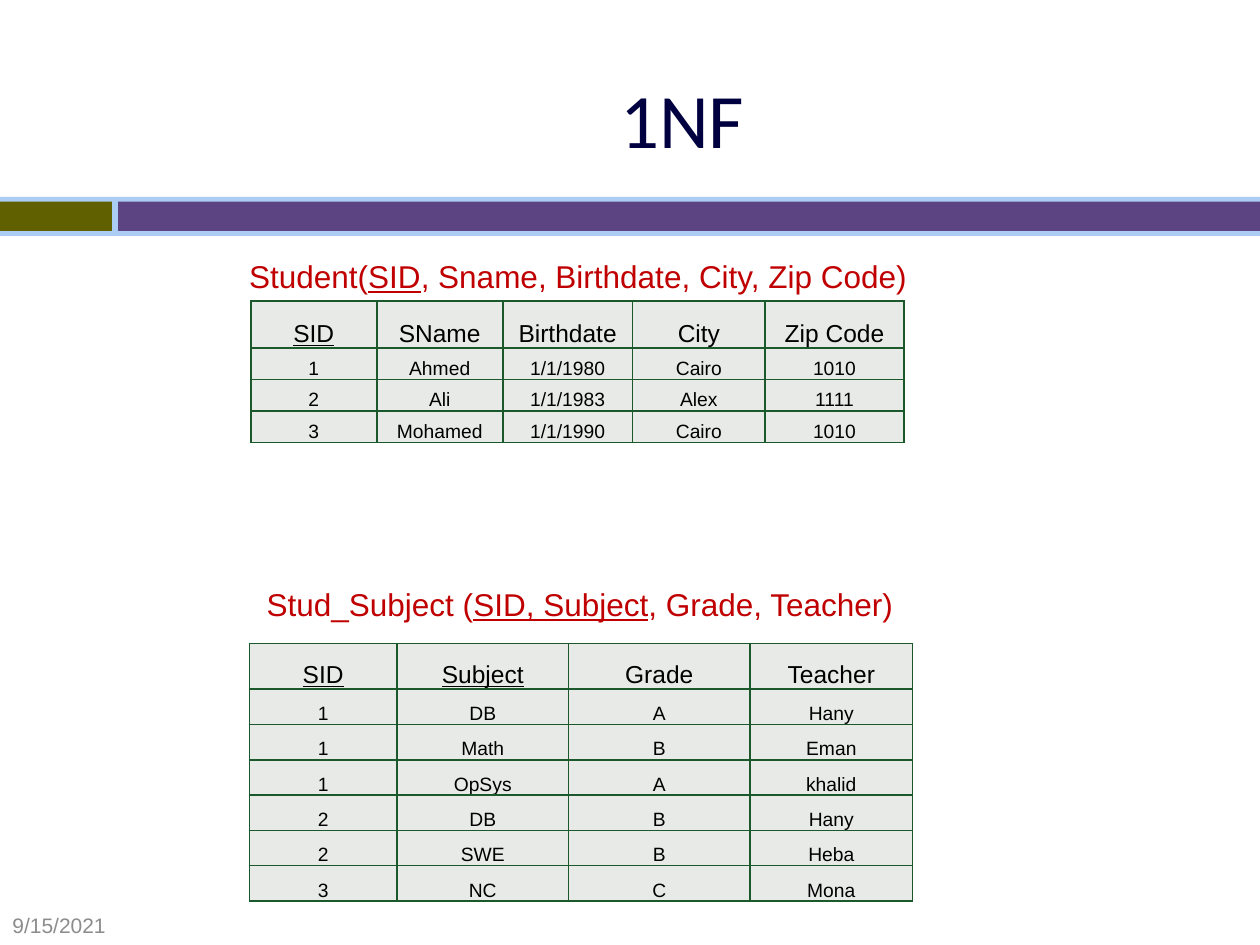
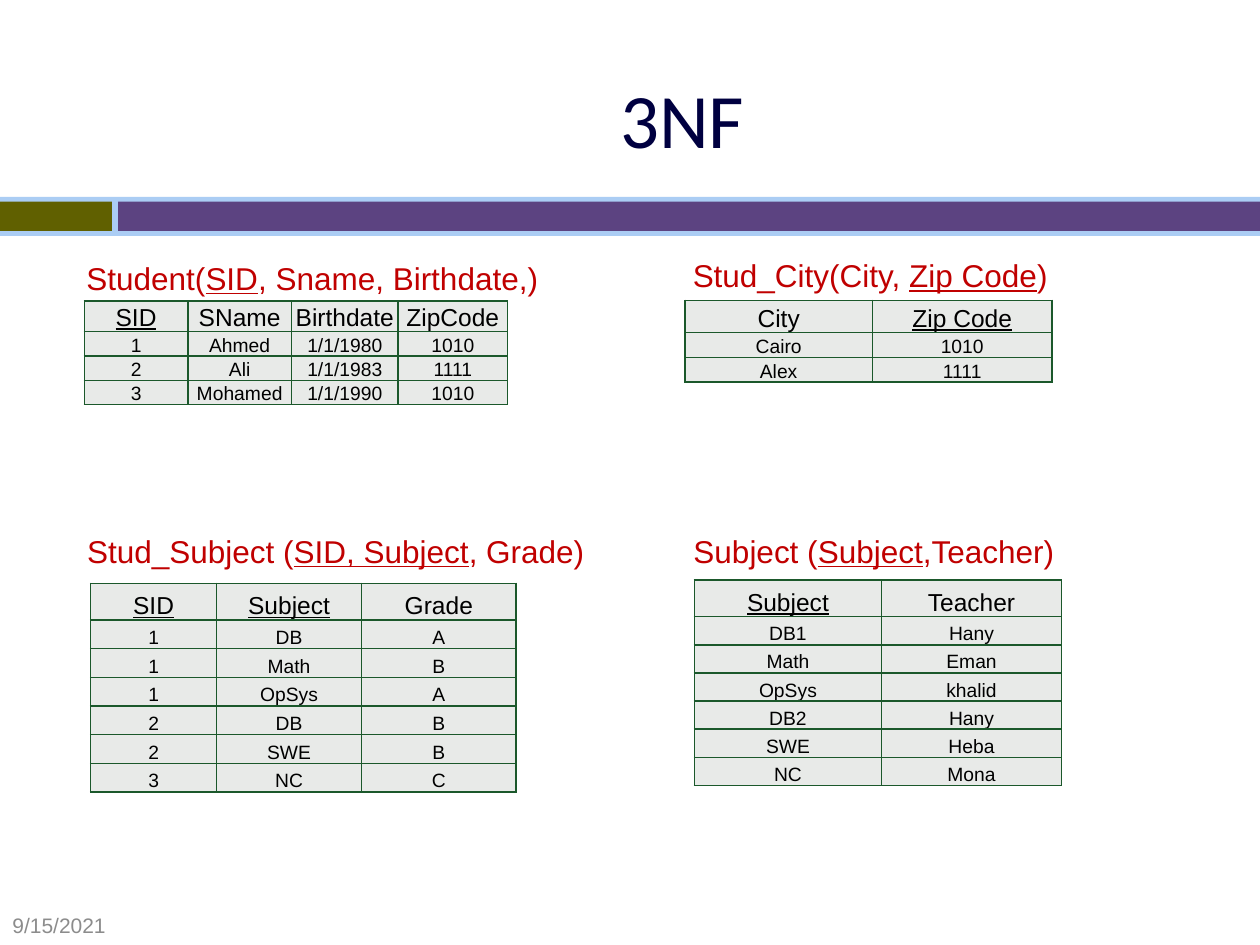
from pptx import Presentation
from pptx.dml.color import RGBColor
from pptx.enum.shapes import MSO_SHAPE
from pptx.enum.text import MSO_ANCHOR, PP_ALIGN
from pptx.oxml import parse_xml
from pptx.oxml.ns import nsdecls
from pptx.util import Pt

NAVY = RGBColor(0x00, 0x00, 0x40)
SKY = RGBColor(0xAB, 0xCD, 0xF4)
OLIVE = RGBColor(0x60, 0x60, 0x00)
PURPLE = RGBColor(0x5C, 0x43, 0x81)
RED = RGBColor(0xC0, 0x00, 0x00)
GREY = RGBColor(0x8C, 0x8C, 0x8C)
BLACK = RGBColor(0x00, 0x00, 0x00)
PALE = RGBColor(0xE8, 0xEA, 0xE8)
GREEN = RGBColor(0x1B, 0x58, 0x2B)

INDENT = 20  # extra left inset of most captions
STUDENTS = [
    ("1", "Ahmed", "1/1/1980", "Cairo", "1010"),
    ("2", "Ali", "1/1/1983", "Alex", "1111"),
    ("3", "Mohamed", "1/1/1990", "Cairo", "1010"),
]
MARKS = [
    ("1", "DB", "A", "Hany"),
    ("1", "Math", "B", "Eman"),
    ("1", "OpSys", "A", "khalid"),
    ("2", "DB", "B", "Hany"),
    ("2", "SWE", "B", "Heba"),
    ("3", "NC", "C", "Mona"),
]
TEACHERS = [
    ("DB1", "Hany"),
    ("Math", "Eman"),
    ("OpSys", "khalid"),
    ("DB2", "Hany"),
    ("SWE", "Heba"),
    ("NC", "Mona"),
]
CITIES = [("Cairo", "1010"), ("Alex", "1111")]


def write(frame, text, size, color, align=PP_ALIGN.CENTER, face="Arial"):
    """Fill a frame with one paragraph; parts between stars are underlined."""
    para = frame.paragraphs[0]
    para.alignment = align
    font = para.font
    font.name, font.size, font.color.rgb = face, Pt(size), color
    for place, part in enumerate(text.split("*")):
        if part:
            run = para.add_run()
            run.text = part
            if place % 2:
                run.font.underline = True


def add_box(slide, left, top, width, height, anchor=MSO_ANCHOR.TOP):
    """Add a wrapping text box and return its frame."""
    box = slide.shapes.add_textbox(Pt(left), Pt(top), Pt(width), Pt(height))
    frame = box.text_frame
    frame.word_wrap = True
    frame.vertical_anchor = anchor
    return frame


def add_bar(slide, left, top, width, height, color):
    """Add a plain filled bar."""
    bar = slide.shapes.add_shape(
        MSO_SHAPE.RECTANGLE, Pt(left), Pt(top), Pt(width), Pt(height))
    bar.shadow.inherit = False
    bar.fill.solid()
    bar.fill.fore_color.rgb = color
    bar.line.fill.background()


def add_base(deck, title):
    """Add a slide with the shared band, title and date."""
    slide = deck.slides.add_slide(deck.slide_layouts[6])
    add_bar(slide, 0, 112.5, 720, 22.3, SKY)
    add_bar(slide, 0, 115.2, 64, 16.8, OLIVE)
    add_bar(slide, 67.5, 115.2, 652.5, 16.8, PURPLE)
    frame = add_box(slide, 66, 22.5, 648, 90, MSO_ANCHOR.MIDDLE)
    write(frame, title, 44, NAVY, face="Calibri")
    frame = add_box(slide, 0, 517.5, 142, 22.5, MSO_ANCHOR.MIDDLE)
    write(frame, "9/15/2021", 12, GREY, PP_ALIGN.LEFT)
    return slide


def add_caption(slide, left, top, width, text, indent=INDENT):
    """Add the red schema line above a table."""
    frame = add_box(slide, left, top, width, 29)
    frame.margin_left = Pt(7.2 + indent)
    frame.word_wrap = indent > 0
    write(frame, text, 18, RED)


def style_cell(cell):
    """Give a cell its borders, fill and insets."""
    props = cell._tc.get_or_add_tcPr()
    for side in "LRTB":
        props.append(parse_xml(
            f'<a:ln{side} {nsdecls("a")} w="{Pt(1)}"><a:solidFill>'
            f'<a:srgbClr val="{GREEN}"/></a:solidFill></a:ln{side}>'))
    cell.fill.solid()
    cell.fill.fore_color.rgb = PALE
    cell.margin_left = cell.margin_right = cell.margin_top = Pt(0.7)
    cell.margin_bottom = 0
    cell.vertical_anchor = MSO_ANCHOR.BOTTOM


def add_grid(slide, left, top, widths, head, step, names, rows):
    """Add a table: a head row of one height, data rows of another."""
    lines = [names, *rows]
    height = head + step * len(rows)
    table = slide.shapes.add_table(
        len(lines), len(names), Pt(left), Pt(top),
        Pt(sum(widths)), Pt(height)).table
    table.first_row = table.horz_banding = False
    for column, width in zip(table.columns, widths):
        column.width = Pt(width)
    for index, line in enumerate(lines):
        table.rows[index].height = Pt(step if index else head)
        for place, text in enumerate(line):
            cell = table.cell(index, place)
            style_cell(cell)
            write(cell.text_frame, text, 11 if index else 14, BLACK)


def add_first(deck):
    """Build the 1NF slide: two stacked tables."""
    slide = add_base(deck, "1NF")
    add_grid(slide, 143.3, 172, (72, 72, 74.2, 75.8, 79.2), 26.8, 18,
             ("*SID*", "SName", "Birthdate", "City", "Zip Code"), STUDENTS)
    add_grid(slide, 142.5, 367.8, (84.4, 98, 103.7, 93), 26, 20.2,
             ("*SID*", "*Subject*", "Grade", "Teacher"), MARKS)
    add_caption(slide, 110, 143.4, 420.5,
                "Student(*SID*, Sname, Birthdate, City, Zip Code)")
    add_caption(slide, 110, 330.6, 422.6,
                "Stud_Subject (*SID, Subject*, Grade, Teacher)")


def add_third(deck):
    """Build the 3NF slide: two by two tables."""
    slide = add_base(deck, "3NF")
    pair = (107, 102.8)
    add_grid(slide, 48.2, 172, (59.2, 59.2, 61, 62.5), 17.5, 13.9,
             ("*SID*", "SName", "Birthdate", "ZipCode"),
             [row[:3] + row[4:] for row in STUDENTS])
    add_grid(slide, 51.8, 333.3, (72, 82.8, 88.4), 21, 16.4,
             ("*SID*", "*Subject*", "Grade"), [row[:3] for row in MARKS])
    add_grid(slide, 396.8, 331.4, pair, 21, 16.1,
             ("*Subject*", "Teacher"), TEACHERS)
    add_grid(slide, 391.5, 171.6, pair, 18.4, 14.2,
             ("City", "*Zip Code*"), CITIES)
    add_caption(slide, -41.8, 144.2, 420.5,
                "Student(*SID*, Sname, Birthdate,)")
    add_caption(slide, -29.5, 300.2, 422.6,
                "Stud_Subject (*SID, Subject*, Grade)")
    add_caption(slide, 278, 300.2, 422.6, "Subject (*Subject*,Teacher)")
    add_caption(slide, 387.4, 142.8, 219.6, "Stud_City(City, *Zip Code*)", 0)


deck = Presentation()
deck.slide_width, deck.slide_height = Pt(720), Pt(540)
add_first(deck)
add_third(deck)
deck.save("out.pptx")
